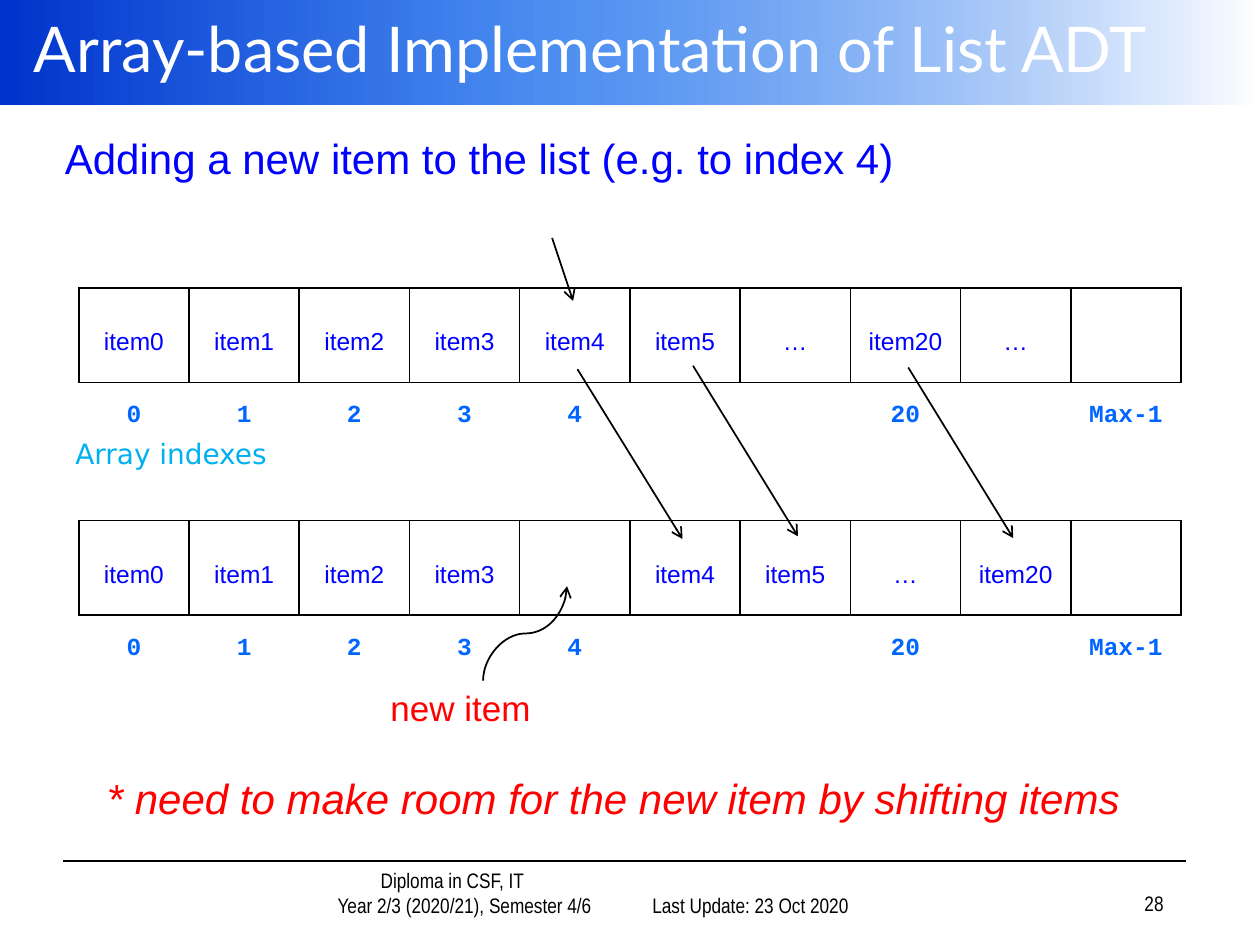
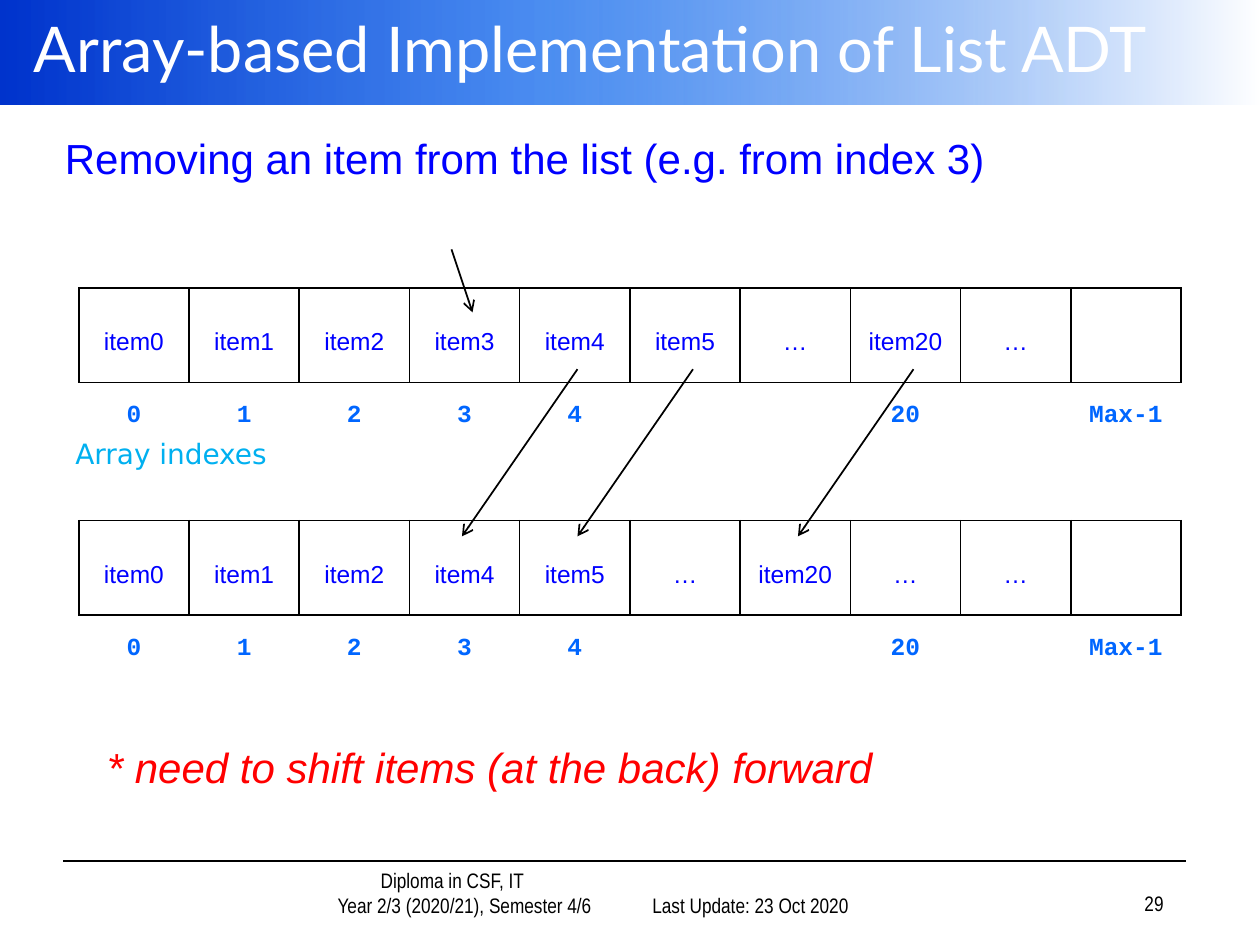
"""Build two slides on adding to and removing from an array-based list."""
from copy import deepcopy
from lxml.etree import SubElement
from pptx import Presentation
from pptx.dml.color import RGBColor
from pptx.enum.shapes import MSO_CONNECTOR, MSO_SHAPE
from pptx.enum.text import MSO_ANCHOR, PP_ALIGN
from pptx.oxml.ns import qn
from pptx.util import Pt

BLACK, WHITE, BLUE, RED = "000000", "FFFFFF", "0000FF", "FF0000"
LEFT, MID, RIGHT = PP_ALIGN.LEFT, PP_ALIGN.CENTER, PP_ALIGN.RIGHT
TOP, CORE, BASE = MSO_ANCHOR.TOP, MSO_ANCHOR.MIDDLE, MSO_ANCHOR.BOTTOM
HEAD = {"name": "Lato", "size": Pt(36), "color": WHITE}
LEAD = {"name": "Arial", "size": Pt(24), "color": BLUE}
NOTE = {"name": "Arial", "size": Pt(24), "color": RED, "italic": True}
FRESH = {"name": "Arial", "size": Pt(20), "color": RED}
LABEL = {"name": "DejaVu Sans", "size": Pt(16), "color": "00B0F0"}
ITEM = {"name": "Arial", "size": Pt(14), "color": BLUE}
INDEX = {"name": "Courier New", "size": Pt(14), "color": "0066FF", "bold": True}
FOOT = {"name": "Arial Narrow", "size": Pt(12), "color": BLACK}

PLAIN = "{2D5ABB26-0587-4C30-8999-92F81FD0307C}"
FADE = [(0, "0033CC"), (0.43, "005EEB"), (1, WHITE)]
COURSE = "Diploma in CSF, IT\nYear 2/3 (2020/21), Semester 4/6"
MARKS = ["0", "1", "2", "3", "4", "", "", "20", "", "Max-1"]
FULL = ["item0", "item1", "item2", "item3", "item4", "item5", "…", "item20", "…", ""]
COL, ROW = 63, 54

PAGES = [
    {
        "num": "28",
        "lead": "Adding a new item to the list (e.g. to index 4)",
        "note": "* need to make room for the new item by shifting items",
        "drop": 438,
        "after": FULL[:4] + [""] + FULL[4:8] + [""],
        "arrows": [(315.5, 136, 327.5, 172), (330, 211, 390, 308),
                   (396, 209, 456, 306.5), (519, 210, 579, 307.5)],
        "curves": [(327, 386, 273, 338)],
        "extra": [("new item", FRESH, (216, 389, 96, 32), LEFT, TOP)],
    },
    {
        "num": "29",
        "lead": "Removing an item from the list (e.g. from index 3)",
        "note": "* need to shift items (at the back) forward",
        "drop": 420,
        "after": FULL[:3] + FULL[4:9] + ["…", ""],
        "arrows": [(258, 142.5, 270, 178.5), (330, 211, 264, 306.5),
                   (396, 211, 330, 306.5), (522, 211, 456, 306.5)],
        "curves": [],
        "extra": [],
    },
]


def paint(color, code):
    """Set a colour from a hex string."""
    color.rgb = RGBColor.from_string(code)


def write(frame, text, style, align=LEFT, space=1.0):
    """Fill a text frame, one paragraph a line."""
    frame.text = text
    for para in frame.paragraphs:
        para.alignment, para.line_spacing = align, space
        for run in para.runs:
            for key, value in style.items():
                if key == "color":
                    paint(run.font.color, value)
                else:
                    setattr(run.font, key, value)


deck = Presentation()
deck.slide_width, deck.slide_height = Pt(720), Pt(540)

for page in PAGES:
    slide = deck.slides.add_slide(deck.slide_layouts[5])
    shapes = slide.shapes

    title = shapes.title
    title.left, title.top, title.width, title.height = Pt(12), Pt(0), Pt(708), Pt(54)
    write(title.text_frame, "Array-based Implementation of List ADT", HEAD)
    title.text_frame.vertical_anchor = CORE

    band = shapes.add_shape(MSO_SHAPE.RECTANGLE, Pt(0), Pt(0), Pt(720), Pt(60))
    band.shadow.inherit = False
    band.line.fill.background()
    band.fill.gradient()
    band.fill.gradient_angle = 0
    stops = band._element.xpath(".//a:gsLst")[0]
    stops.insert(1, deepcopy(stops[0]))
    for stop, (place, code) in zip(band.fill.gradient_stops, FADE):
        stop.position = place
        paint(stop.color, code)
    SubElement(stops[1][0], qn("a:alpha"), val="70000")
    title._element.addprevious(band._element)

    for top, items in [(164.5, FULL), (297.5, page["after"])]:
        frame = shapes.add_table(2, 10, Pt(45), Pt(top), Pt(10 * COL), Pt(2 * ROW))
        grid = frame.table
        grid.first_row = grid.horz_banding = False
        frame._element.xpath(".//a:tableStyleId")[0].text = PLAIN
        for col in grid.columns:
            col.width = Pt(COL)
        rows = [(items, ITEM, CORE, "LRTB"), (MARKS, INDEX, TOP, "T")]
        for r, (words, style, anchor, sides) in enumerate(rows):
            grid.rows[r].height = Pt(ROW)
            for c, word in enumerate(words):
                cell = grid.cell(r, c)
                write(cell.text_frame, word, style, MID, 1.5)
                cell.vertical_anchor = anchor
                props = cell._tc.get_or_add_tcPr()
                for side in sides:
                    edge = SubElement(props, qn("a:ln" + side), w=str(Pt(1)))
                    fill = SubElement(edge, qn("a:solidFill"))
                    SubElement(fill, qn("a:srgbClr"), val=BLACK)
                cell.fill.background()

    texts = [
        (page["lead"], LEAD, (30, 72, 636, 36), LEFT, TOP),
        (page["note"], NOTE, (54, page["drop"], 624, 36), LEFT, TOP),
        ("Array indexes", LABEL, (36, 246, 162, 27), LEFT, TOP),
        (COURSE, FOOT, (121, 498, 239, 30), MID, BASE),
        ("Last Update: 23 Oct 2020", FOOT, (342, 498, 150, 30), RIGHT, BASE),
        (page["num"], FOOT, (522, 497, 150, 30), RIGHT, BASE),
    ]
    for text, style, spot, align, anchor in texts + page["extra"]:
        box = shapes.add_textbox(*map(Pt, spot))
        box.text_frame.word_wrap = True
        box.text_frame.vertical_anchor = anchor
        write(box.text_frame, text, style, align)
        if text == COURSE:
            for para, dent in zip(box.text_frame.paragraphs, (36, 50)):
                para._p.get_or_add_pPr().set("marL", str(Pt(dent)))

    lines = [("rule", (36, 492, 678, 492))]
    lines += [("arrow", ends) for ends in page["arrows"]]
    lines += [("curve", ends) for ends in page["curves"]]
    for kind, ends in lines:
        form = MSO_CONNECTOR.CURVE if kind == "curve" else MSO_CONNECTOR.STRAIGHT
        line = shapes.add_connector(form, *map(Pt, ends))
        line.line.width = Pt(1)
        line.line.fill.solid()
        paint(line.line.fill.fore_color, BLACK)
        props = line._element.spPr
        SubElement(props, qn("a:effectLst"))
        if kind != "rule":
            SubElement(props.find(qn("a:ln")), qn("a:tailEnd"), type="arrow")
        if kind == "curve":
            props.find(qn("a:xfrm")).set("rot", "5400000")

deck.save("out.pptx")
